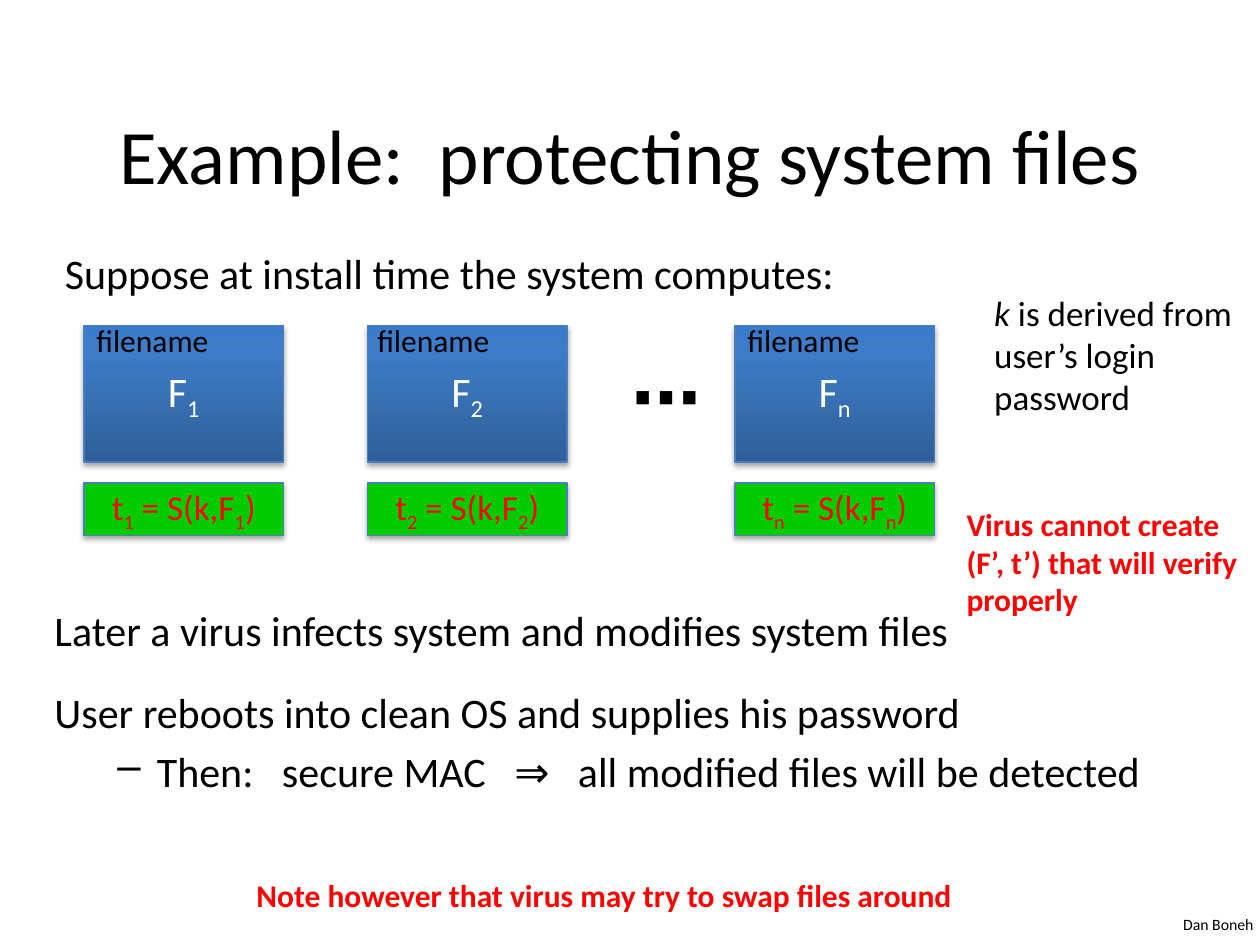
import copy

import pptx
import pptx.dml.color
import pptx.enum.shapes
import pptx.enum.text
import pptx.oxml
import pptx.oxml.ns
import pptx.util

PX = 9525  # EMU per px, 96 px to the inch
COLORS = {
    "black": "000000",
    "white": "FFFFFF",
    "red": "FF0000",
    "green": "00CC00",
    "outline": "4B7EBC",
}
FILE_GRADIENT = [(0, "2F5F99"), (0.8, "3D7CC7"), (1, "3A7CCB")]
SHADOW = (
    f'<a:outerShdw {pptx.oxml.ns.nsdecls("a")} blurRad="40000" dist="23000" '
    'dir="5400000" rotWithShape="0"><a:srgbClr val="000000">'
    '<a:alpha val="35000"/></a:srgbClr></a:outerShdw>'
)
SUB = "subscript"
qn = pptx.oxml.ns.qn
rgb = pptx.dml.color.RGBColor.from_string
align = pptx.enum.text.PP_ALIGN
anchor = pptx.enum.text.MSO_ANCHOR


def write(para, spans, color, **formats):
    """Fill a paragraph with (text, style) spans; a style is None, SUB or "italic"."""
    for text, style in spans:
        if text == "\n":
            para.add_line_break()
            continue
        span = para.add_run()
        span.text = text
        span.font.name = "Calibri"
        span.font.color.rgb = rgb(COLORS[color])
        for name, value in formats.items():
            setattr(span.font, name, value)
        if style == "italic":
            span.font.italic = True
        elif style == SUB:
            span.font._element.set("baseline", "-25000")


def add_card(left, top, width, height):
    """Add a outlined rectangle with a soft shadow and middle-anchored text."""
    card = slide.shapes.add_shape(
        pptx.enum.shapes.MSO_SHAPE.RECTANGLE,
        left * PX, top * PX, width * PX, height * PX,
    )
    card.shadow.inherit = False
    effects = card.element.spPr.find(qn("a:effectLst"))
    effects.append(pptx.oxml.parse_xml(SHADOW))
    card.line.color.rgb = rgb(COLORS["outline"])
    card.line.width = pptx.util.Pt(0.75)
    card.text_frame.vertical_anchor = anchor.MIDDLE
    card.text_frame.paragraphs[0].alignment = align.CENTER
    return card


deck = pptx.Presentation()
deck.slide_width, deck.slide_height = 960 * PX, 720 * PX
slide = deck.slides.add_slide(deck.slide_layouts[6])

# Each file with its tag below
columns = [(64, "1"), (280, "2"), (560, "n")]
for left, index in columns:
    file_card = add_card(left, 248, 152, 104)
    file_card.fill.gradient()
    file_card.fill.gradient_angle = 90
    stop_list = file_card.element.spPr.find(qn("a:gradFill")).find(qn("a:gsLst"))
    stop_list.append(copy.deepcopy(stop_list[-1]))
    for stop, (position, color) in zip(file_card.fill.gradient_stops, FILE_GRADIENT):
        stop.position = position
        stop.color.rgb = rgb(color)
    write(file_card.text_frame.paragraphs[0], [("F", None), (index, SUB)],
          "white", size=pptx.util.Pt(24))

    tag_card = add_card(left, 368, 152, 40)
    tag_card.fill.solid()
    tag_card.fill.fore_color.rgb = rgb(COLORS["green"])
    tag_spans = [("t", None), (index, SUB), (" = S(k,F", None), (index, SUB), (")", None)]
    write(tag_card.text_frame.paragraphs[0], tag_spans, "red", size=pptx.util.Pt(20))

# Single-paragraph texts: place, wrap, spans, colour, size, bold
key_note = [("k", "italic"), (" is derived from", None), ("\n", None),
            ("user’s login password", None)]
virus_note = "Virus cannot create (F’, t’) that will verify properly"
swap_note = "Note however that virus may try to swap files around"
labels = [
    ((48, 72, 864, 90), True, [("Example:  protecting system files", None)], "black", 44, False),
    ((40, 184, 620, 48), False,
     [("Suppose at install time the system computes:", None)], "black", 24, False),
    ((472, 264, 64, 74), False, [("⋯", None)], "black", 40, True),
    ((748, 217, 212, 107), True, key_note, "black", 20, False),
    ((727, 380, 233, 97), True, [(virus_note, None)], "red", 18, True),
    ((186, 663, 589, 38), True, [(swap_note, None)], "red", 18, True),
    ((892, 692, 73, 24), False, [("Dan Boneh", None)], "black", 9, False),
]
for left in (64, 278, 560):
    labels.append(((left, 240, 106, 39), False, [("filename", None)], "black", 18, False))

for place, wrap, spans, color, size, bold in labels:
    box = slide.shapes.add_textbox(*(length * PX for length in place))
    box.text_frame.word_wrap = wrap
    para = box.text_frame.paragraphs[0]
    write(para, spans, color, size=pptx.util.Pt(size), bold=bold)
    if size == 44:
        box.text_frame.vertical_anchor = anchor.MIDDLE
        para.alignment = align.CENTER

# What happens later: text, space before, whether it has a dash
steps = [
    ("Later a virus infects system and modifies system files", 0, False),
    ("User reboots into clean OS and supplies his password", 17.8, False),
    ("Then:   secure MAC   ⇒   all modified files will be detected", 4.8, True),
]
body = slide.shapes.add_textbox(32 * PX, 456 * PX, 888 * PX, 174 * PX)
body.text_frame.word_wrap = True
for number, (text, space, dashed) in enumerate(steps):
    para = body.text_frame.add_paragraph() if number else body.text_frame.paragraphs[0]
    para.space_before = pptx.util.Pt(space)
    if dashed:
        para.level = 1
        properties = para._p.get_or_add_pPr()
        properties.set("marL", str(78 * PX))
        properties.set("indent", str(-30 * PX))
        properties.append(pptx.oxml.parse_xml(
            f'<a:buChar {pptx.oxml.ns.nsdecls("a")} char="–"/>'))
    write(para, [(text, None)], "black", size=pptx.util.Pt(24))

deck.save("out.pptx")
